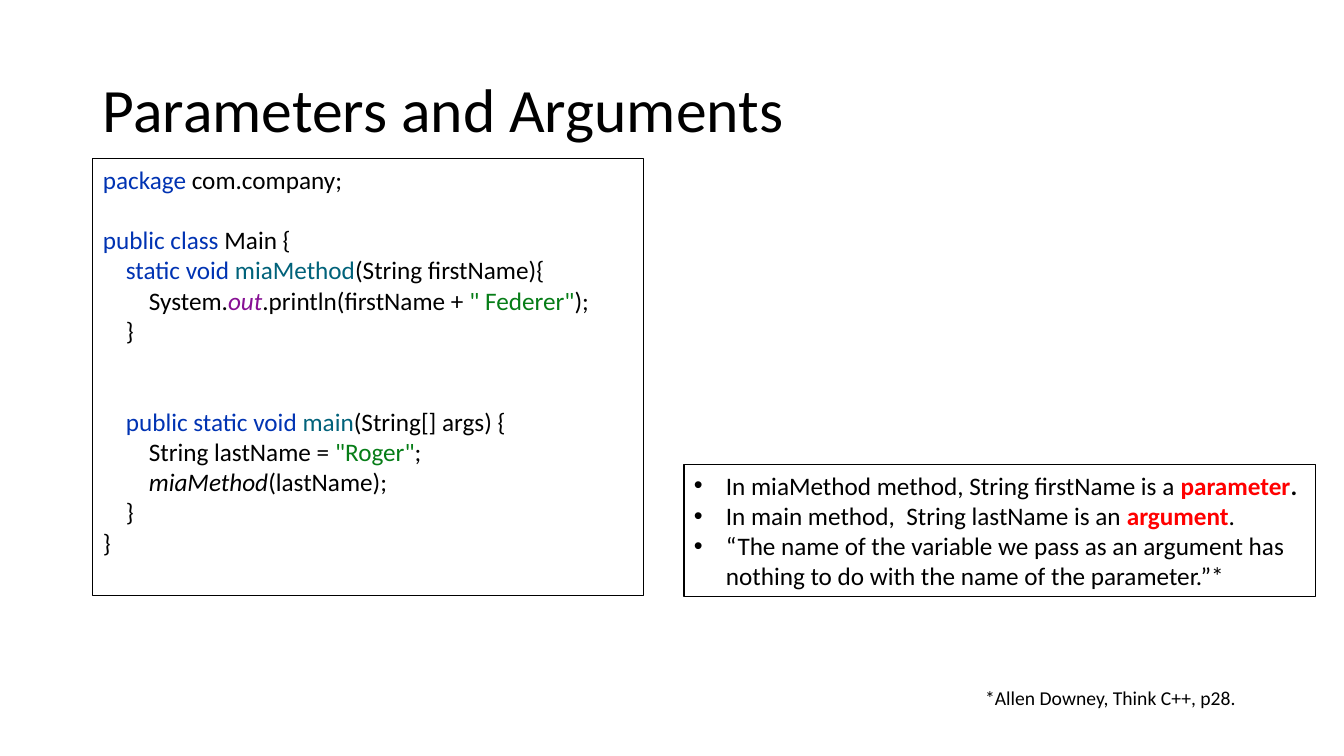
from dataclasses import dataclass
from typing import Any

from lxml.etree import SubElement
from pptx import Presentation
from pptx.dml.color import RGBColor as Color
from pptx.enum.shapes import MSO_SHAPE as Preset
from pptx.enum.text import MSO_ANCHOR as Anchor, PP_ALIGN as Align
from pptx.oxml.ns import qn
from pptx.util import Emu, Pt

EMU_PER_PX = 914400 / 100.8


@dataclass(frozen=True)
class Theme:
    font: str = "Calibri"
    ink: str = "000000"
    keyword: str = "0033B3"
    method: str = "00627A"
    field: str = "871094"
    literal: str = "067D17"
    accent: str = "FF0000"
    title: int = 44
    body: int = 18
    note: int = 14
    outline: float = 0.75
    body_line: float = 21.6


THEME = Theme()


@dataclass(frozen=True)
class Span:
    text: str
    color: str = THEME.ink
    bold: bool = False
    italic: bool = False


@dataclass(frozen=True)
class Line:
    spans: tuple[Span, ...]
    level: int = 0
    blanks: int = 0
    bullet: bool = False
    align: Align = Align.LEFT
    spacing: float = 1.0


@dataclass(frozen=True)
class Panel:
    left: int
    top: int
    width: int
    height: int
    size: int
    lines: tuple[Line, ...]
    outlined: bool = False
    anchor: Anchor = Anchor.TOP


INDENT = 23
BULLET_INDENT = 32

CODE = (
    Line((Span("package ", THEME.keyword), Span("com.company;"))),
    Line((Span("public class ", THEME.keyword), Span("Main {")), blanks=1),
    Line((Span("static void ", THEME.keyword), Span("miaMethod", THEME.method),
          Span("(String firstName){")), level=1),
    Line((Span("System."), Span("out", THEME.field, italic=True),
          Span(".println(firstName + "), Span('" Federer"', THEME.literal),
          Span(");")), level=2),
    Line((Span("}"),), level=1),
    Line((Span("public static void ", THEME.keyword), Span("main", THEME.method),
          Span("(String[] args) {")), level=1, blanks=2),
    Line((Span("String lastName = "), Span('"Roger"', THEME.literal), Span(";")), level=2),
    Line((Span("miaMethod", italic=True), Span("(lastName);")), level=2),
    Line((Span("}"),), level=1),
    Line((Span("}"),)),
)

REMARKS = (
    Line((Span("In miaMethod method, String firstName is a "),
          Span("parameter", THEME.accent, bold=True), Span(".", bold=True)), bullet=True),
    Line((Span("In main method,  String lastName is an "),
          Span("argument", THEME.accent, bold=True), Span(".")), bullet=True),
    Line((Span("“The name of the variable we pass as an argument has "
               "nothing to do with the name of the parameter.”*"),), bullet=True),
)

PANELS = (
    Panel(93, 40, 1159, 146, THEME.title,
          (Line((Span("Parameters and Arguments"),), spacing=0.9),), anchor=Anchor.MIDDLE),
    Panel(684, 465, 632, 132, THEME.body, REMARKS, outlined=True),
    Panel(970, 681, 281, 34, THEME.note,
          (Line((Span("*Allen Downey, Think C++, p28."),), align=Align.CENTER),)),
    Panel(93, 159, 551, 437, THEME.body, CODE, outlined=True),
)


def px(count: int) -> Emu:
    return Emu(round(count * EMU_PER_PX))


def apply(target: Any, values: dict[str, Any]) -> None:
    for name, value in values.items():
        setattr(target, name, value)


def write_line(para: Any, line: Line, size: int) -> None:
    apply(para, {
        "alignment": line.align,
        "line_spacing": line.spacing,
        "space_before": Pt(line.blanks * THEME.body_line),
    })
    properties = para._p.get_or_add_pPr()
    if line.bullet:
        properties.set("marL", str(px(BULLET_INDENT)))
        properties.set("indent", str(-px(BULLET_INDENT)))
        SubElement(properties, qn("a:buFont"), typeface="Arial")
        SubElement(properties, qn("a:buChar"), char="•")
    elif line.level:
        properties.set("marL", str(px(INDENT * line.level)))
    for span in line.spans:
        run = para.add_run()
        run.text = span.text
        apply(run.font, {
            "name": THEME.font,
            "size": Pt(size),
            "bold": span.bold,
            "italic": span.italic,
        })
        run.font.color.rgb = Color.from_string(span.color)


def draw_panel(page: Any, panel: Panel) -> None:
    place = [px(side) for side in (panel.left, panel.top, panel.width, panel.height)]
    if panel.outlined:
        box = page.shapes.add_shape(Preset.RECTANGLE, *place)
        box.shadow.inherit = False
        box.fill.background()
        box.line.color.rgb = Color.from_string(THEME.ink)
        box.line.width = Pt(THEME.outline)
    else:
        box = page.shapes.add_textbox(*place)
    frame = box.text_frame
    apply(frame, {"word_wrap": True, "vertical_anchor": panel.anchor})
    for index, line in enumerate(panel.lines):
        para = frame.add_paragraph() if index else frame.paragraphs[0]
        write_line(para, line, panel.size)


def main() -> None:
    deck = Presentation()
    apply(deck, {"slide_width": px(1344), "slide_height": px(756)})
    page = deck.slides.add_slide(deck.slide_layouts[6])
    for panel in PANELS:
        draw_panel(page, panel)
    deck.save("out.pptx")


if __name__ == "__main__":
    main()
